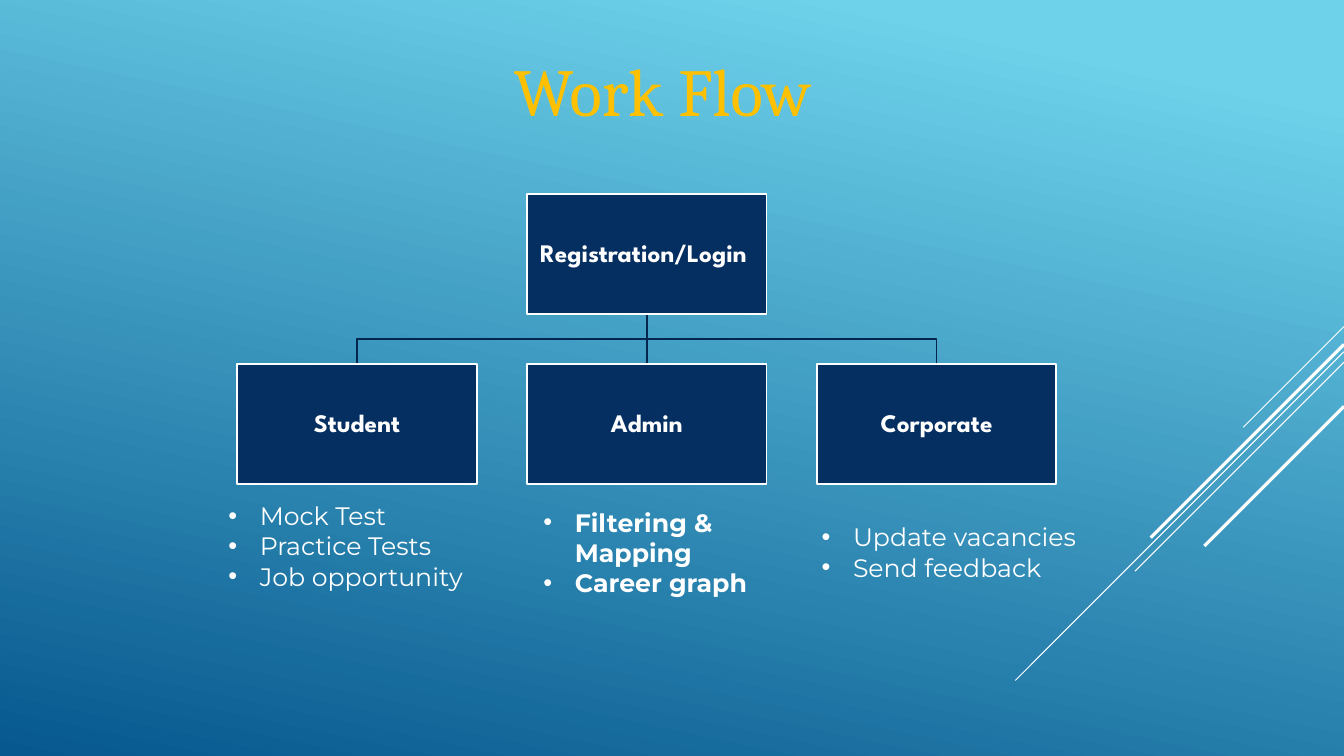
from dataclasses import dataclass

from lxml.etree import SubElement
from pptx import Presentation
from pptx.dml.color import RGBColor
from pptx.enum.shapes import MSO_CONNECTOR, MSO_SHAPE
from pptx.enum.text import MSO_ANCHOR, MSO_AUTO_SIZE, PP_ALIGN
from pptx.oxml.ns import qn
from pptx.slide import Slide
from pptx.util import Emu, Pt

PX = 9525  # EMU per px, 96 px to the inch
SLIDE_W, SLIDE_H = 1280, 720


@dataclass(frozen=True)
class Theme:
    sky: str = "6ED2EB"
    deep: str = "06588E"
    gold: str = "FFC000"
    navy: str = "052F61"
    branch: str = "04264E"
    white: str = "FFFFFF"
    title_font: str = "Cambria"
    box_font: str = "League Spartan"
    list_font: str = "Montserrat"
    title_size: int = 48
    text_size: int = 18
    outline: float = 1.25


@dataclass(frozen=True)
class Streak:
    """A 45-degree line running down-left from the right edge."""
    top: int
    run: int
    weight: float


@dataclass(frozen=True)
class Role:
    label: str
    tasks: tuple[str, ...]
    list_box: tuple[int, int, int, int]
    bold: bool = False


THEME = Theme()
BOX_W, BOX_H = 228, 114
FIRST_LEFT, PITCH = 226, 276
LOGIN_LEFT, LOGIN_TOP, ROLE_TOP = FIRST_LEFT + PITCH, 185, 347
BULLET_INDENT = 30

STREAKS = (
    Streak(311, 96, 0.75),
    Streak(335, 313, 0.75),
    Streak(345, 199, 0.75),
    Streak(328, 184, 2.25),
    Streak(387, 133, 2.25),
)
ROLES = (
    Role("Student", ("Mock Test", "Practice Tests", "Job opportunity"), (208, 472, 288, 156)),
    Role("Admin", ("Filtering & Mapping", "Career graph"), (508, 478, 231, 97), bold=True),
    Role("Corporate", ("Update vacancies", "Send feedback"), (773, 492, 288, 68)),
)


def px(*lengths: int) -> list[Emu]:
    return [Emu(length * PX) for length in lengths]


def rgb(value: str) -> RGBColor:
    return RGBColor.from_string(value)


def format_runs(paragraph, font: str, size: int, color: str, bold: bool = False) -> None:
    for run in paragraph.runs:
        run.font.name = font
        run.font.size = Pt(size)
        run.font.bold = bold
        run.font.color.rgb = rgb(color)


def set_line(line, color: str, weight: float) -> None:
    line.color.rgb = rgb(color)
    line.width = Pt(weight)


def paint_background(slide: Slide) -> None:
    fill = slide.background.fill
    fill.gradient()
    fill.gradient_angle = 258
    for stop, color, position in zip(fill.gradient_stops, (THEME.sky, THEME.deep), (0.1, 1.0)):
        stop.color.rgb = rgb(color)
        stop.position = position


def add_straight(slide: Slide, x1: int, y1: int, x2: int, y2: int,
                 color: str, weight: float) -> None:
    connector = slide.shapes.add_connector(MSO_CONNECTOR.STRAIGHT, *px(x1, y1, x2, y2))
    set_line(connector.line, color, weight)
    SubElement(connector._element.spPr, qn("a:effectLst"))


def add_title(slide: Slide, text: str) -> None:
    title = slide.shapes.title
    title.left, title.top, title.width, title.height = px(22, 42, 1218, 87)
    frame = title.text_frame
    frame.text = text
    frame.auto_size = MSO_AUTO_SIZE.NONE
    frame.vertical_anchor = MSO_ANCHOR.TOP
    frame.paragraphs[0].alignment = PP_ALIGN.CENTER
    format_runs(frame.paragraphs[0], THEME.title_font, THEME.title_size, THEME.gold)


def add_branch(slide: Slide, role_left: int) -> None:
    """Join the bottom of the login box to the top of a role box."""
    start_x, end_x = LOGIN_LEFT + BOX_W // 2, role_left + BOX_W // 2
    start_y = LOGIN_TOP + BOX_H
    if start_x == end_x:
        add_straight(slide, start_x, start_y, end_x, ROLE_TOP, THEME.branch, THEME.outline)
        return
    middle_y = (start_y + ROLE_TOP) // 2
    builder = slide.shapes.build_freeform(start_x, start_y, scale=PX)
    builder.add_line_segments(
        [(start_x, middle_y), (end_x, middle_y), (end_x, ROLE_TOP)], close=False)
    elbow = builder.convert_to_shape()
    elbow.shadow.inherit = False
    elbow.fill.background()
    set_line(elbow.line, THEME.branch, THEME.outline)


def add_box(slide: Slide, label: str, left: int, top: int) -> None:
    box = slide.shapes.add_shape(MSO_SHAPE.RECTANGLE, *px(left, top, BOX_W, BOX_H))
    box.shadow.inherit = False
    box.fill.solid()
    box.fill.fore_color.rgb = rgb(THEME.navy)
    set_line(box.line, THEME.white, THEME.outline)
    frame = box.text_frame
    frame.margin_left = frame.margin_right = frame.margin_top = frame.margin_bottom = Emu(PX)
    frame.vertical_anchor = MSO_ANCHOR.MIDDLE
    frame.text = label
    paragraph = frame.paragraphs[0]
    paragraph.alignment = PP_ALIGN.CENTER
    paragraph.line_spacing = 0.9
    format_runs(paragraph, THEME.box_font, THEME.text_size, THEME.white, bold=True)


def add_bullet(paragraph) -> None:
    properties = paragraph._p.get_or_add_pPr()
    properties.set("marL", str(BULLET_INDENT * PX))
    properties.set("indent", str(-BULLET_INDENT * PX))
    SubElement(properties, qn("a:buFont"), typeface="Arial")
    SubElement(properties, qn("a:buChar"), char="•")


def add_task_list(slide: Slide, role: Role) -> None:
    frame = slide.shapes.add_textbox(*px(*role.list_box)).text_frame
    frame.word_wrap = True
    frame.text = "\n".join(role.tasks)
    for paragraph in frame.paragraphs:
        add_bullet(paragraph)
        format_runs(paragraph, THEME.list_font, THEME.text_size, THEME.white, role.bold)


def main() -> None:
    presentation = Presentation()
    presentation.slide_width, presentation.slide_height = px(SLIDE_W, SLIDE_H)
    slide = presentation.slides.add_slide(presentation.slide_layouts.get_by_name("Title Only"))
    paint_background(slide)
    for streak in STREAKS:
        add_straight(slide, SLIDE_W, streak.top, SLIDE_W - streak.run,
                     streak.top + streak.run, THEME.white, streak.weight)
    add_title(slide, "Work Flow")

    role_lefts = [FIRST_LEFT + PITCH * column for column in range(len(ROLES))]
    for left in role_lefts:
        add_branch(slide, left)
    add_box(slide, "Registration/Login ", LOGIN_LEFT, LOGIN_TOP)
    for role, left in zip(ROLES, role_lefts):
        add_box(slide, role.label, left, ROLE_TOP)
        add_task_list(slide, role)
    presentation.save("out.pptx")


if __name__ == "__main__":
    main()
